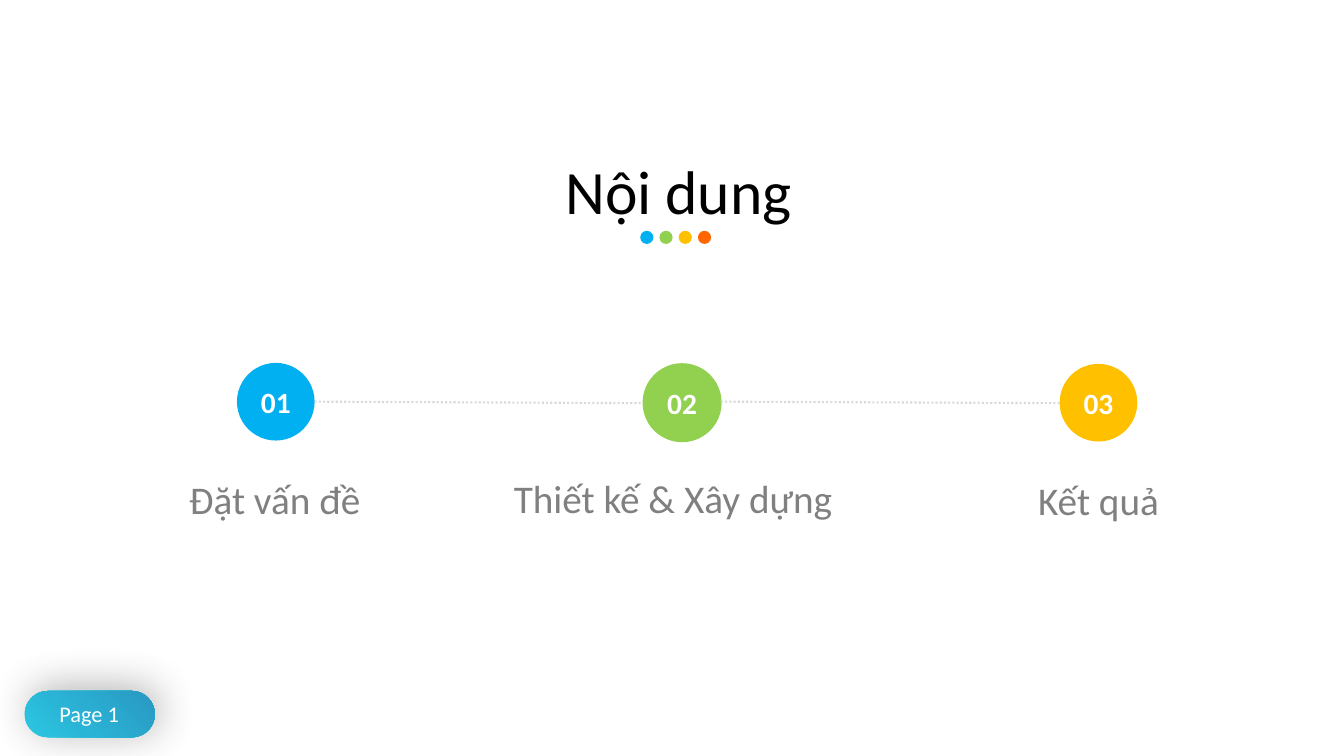
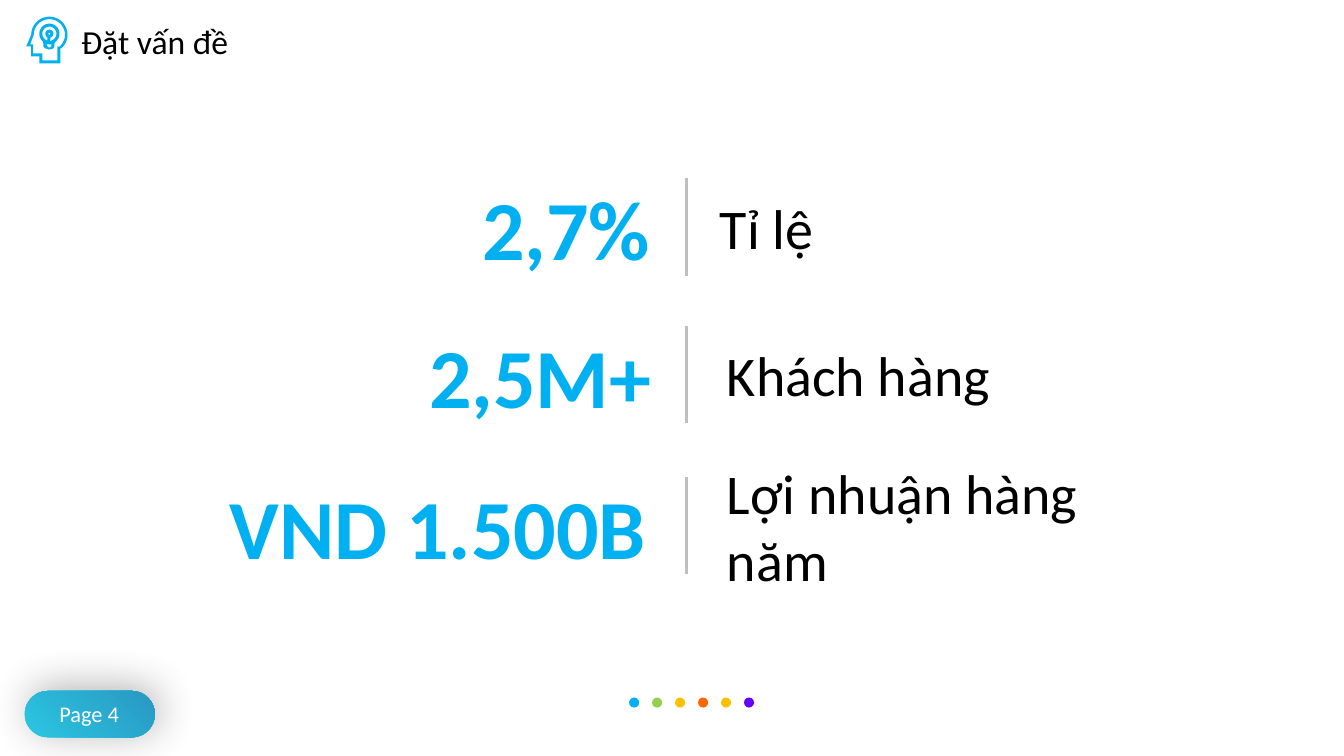
from dataclasses import dataclass
from math import cos, radians, sin

from lxml.etree import SubElement
from pptx import Presentation
from pptx.dml.color import RGBColor
from pptx.enum.dml import MSO_LINE
from pptx.enum.shapes import MSO_CONNECTOR, MSO_SHAPE
from pptx.enum.text import MSO_ANCHOR, MSO_AUTO_SIZE, PP_ALIGN
from pptx.oxml.ns import qn
from pptx.util import Inches, Pt

W, H = Inches(13.33), Inches(7.5)
ICON_CELL = W / 1333


@dataclass(frozen=True)
class Theme:
    font: str = "Calibri"
    blue: str = "00B0F0"
    green: str = "92D050"
    amber: str = "FFC000"
    orange: str = "FF6600"
    violet: str = "6600FF"
    black: str = "000000"
    white: str = "FFFFFF"
    grey: str = "808080"
    rule: str = "BFBFBF"
    dotted: str = "D9D9D9"
    pill_from: str = "2BC6E1"
    pill_to: str = "2998C3"
    shadow: str = "404040"
    title: int = 44
    header: int = 24
    label: int = 28
    number: int = 21
    value: int = 60
    caption: int = 40
    page: int = 16


T = Theme()


# Lengths are percentages of the slide's width (x, w) and height (y, h)
@dataclass(frozen=True)
class Box:
    x: float
    y: float
    w: float
    h: float

    def emu(self) -> tuple[int, int, int, int]:
        return px(self.x), py(self.y), px(self.w), py(self.h)


@dataclass(frozen=True)
class Style:
    size: int
    color: str
    bold: bool = False
    align: PP_ALIGN = PP_ALIGN.LEFT
    spacing: float = 1.0
    before: int = 0
    after: int = 0


@dataclass(frozen=True)
class Step:
    number: str
    label: str
    color: str
    x: float
    y: float
    box: Box
    spacing: float = 1.1
    outlined: bool = False


@dataclass(frozen=True)
class Stat:
    value: str
    caption: str
    middle: float
    value_x: float
    value_w: float
    caption_x: float
    caption_w: float


def px(share: float) -> int:
    return round(W * share / 100)


def py(share: float) -> int:
    return round(H * share / 100)


def rgb(color: str) -> RGBColor:
    return RGBColor.from_string(color)


# Basic parts
def write(tf, text: str, style: Style) -> None:
    tf.word_wrap = True
    p = tf.paragraphs[0]
    p.alignment = style.align
    p.line_spacing = style.spacing
    p.space_before, p.space_after = Pt(style.before), Pt(style.after)
    r = p.add_run()
    r.text = text
    r.font.name, r.font.size, r.font.bold = T.font, Pt(style.size), style.bold
    r.font.color.rgb = rgb(style.color)


def add_text(s, box: Box, text: str, style: Style, fitted: bool = True) -> None:
    tf = s.shapes.add_textbox(*box.emu()).text_frame
    if fitted:
        tf.margin_left = tf.margin_top = tf.margin_right = tf.margin_bottom = 0
        tf.vertical_anchor = MSO_ANCHOR.MIDDLE
    write(tf, text, style)
    tf.auto_size = MSO_AUTO_SIZE.SHAPE_TO_FIT_TEXT if fitted else MSO_AUTO_SIZE.NONE


def paint(sp, color: str) -> None:
    sp.shadow.inherit = False
    sp.fill.solid()
    sp.fill.fore_color.rgb = rgb(color)
    sp.line.fill.background()


def add_circle(s, x: float, y: float, size: float, color: str):
    sp = s.shapes.add_shape(MSO_SHAPE.OVAL, px(x), py(y), px(size), px(size))
    paint(sp, color)
    return sp


def add_line(s, x1: float, y1: float, x2: float, y2: float, color: str, width: float):
    line = s.shapes.add_connector(MSO_CONNECTOR.STRAIGHT, px(x1), py(y1), px(x2), py(y2))
    line.line.color.rgb = rgb(color)
    line.line.width = Pt(width)
    SubElement(line._element.spPr, qn("a:effectLst"))
    return line


# Shared decoration
def add_dots(s, x: float, y: float, size: float, step: float, colors: list[str]) -> None:
    for i, color in enumerate(colors):
        add_circle(s, x + i * step, y, size, color)


def add_page_pill(s, page: int) -> None:
    sp = s.shapes.add_shape(MSO_SHAPE.ROUNDED_RECTANGLE, *Box(1.84, 91.4, 9.68, 6.13).emu())
    paint(sp, T.pill_from)
    sp.adjustments[0] = 0.5
    sp.fill.gradient()
    sp.fill.gradient_angle = 45
    for stop, color in zip(sp.fill.gradient_stops, (T.pill_from, T.pill_to)):
        stop.color.rgb = rgb(color)
    # Soft shadow to the upper right
    effects = sp._element.spPr.find(qn("a:effectLst"))
    shadow = SubElement(effects, qn("a:outerShdw"), blurRad=str(Pt(30)), dist=str(Pt(5)),
                        dir="18900000", algn="ctr", rotWithShape="0")
    color = SubElement(shadow, qn("a:srgbClr"), val=T.shadow)
    SubElement(color, qn("a:alpha"), val="40000")
    add_text(s, Box(2.55, 91.47, 8.18, 5.07), f"Page {page}",
             Style(T.page, T.white, align=PP_ALIGN.CENTER, spacing=1.14, before=10), fitted=False)


# Idea icon, drawn on a fine grid of icon cells
Points = list[tuple[float, float]]


def arc(cx: float, cy: float, radius: float, start: int, end: int) -> Points:
    step = 10 if end > start else -10
    return [(cx + radius * cos(radians(a)), cy + radius * sin(radians(a)))
            for a in range(start, end + step, step)]


def add_outline(s, contours: list[Points], color: str) -> None:
    cells = [[(round(x * ICON_CELL), round(y * ICON_CELL)) for x, y in c] for c in contours]
    fb = s.shapes.build_freeform(*cells[0][0], scale=1.0)
    for i, points in enumerate(cells):
        if i:
            fb.move_to(*points[0])
        fb.add_line_segments(points[1:], close=True)
    paint(fb.convert_to_shape(), color)


def add_idea_icon(s) -> None:
    head = [(60, 47), (60, 63), (39, 63), (39, 56), (31, 56), (31, 46), (26, 46)]
    head += arc(49, 34.5, 18, 180, 410)
    face = arc(49, 34.5, 15.5, 410, 180)
    face += [(30, 44), (33, 44), (33, 53), (42, 53), (42, 60), (57, 60), (57, 46)]
    add_outline(s, [head, face], T.blue)

    bulb = arc(49, 33.5, 10, 130, 410)
    bulb += [(54, 43), (54, 46), (53, 48), (50, 49), (48, 49), (45, 48), (43, 46), (43, 43)]
    glass = arc(49, 33.5, 7, 430, 110) + [(47, 41), (47, 37)]
    glass += arc(49, 33.5, 4, 110, 430) + [(50, 37), (50, 41)]
    base = [(46, 44), (47, 46), (48, 47), (50, 47), (51, 46), (51, 44)]
    add_outline(s, [bulb, glass, arc(49, 33.5, 1, 360, 0), base], T.blue)


# Slides
CIRCLE = 5.78
STEPS = [
    Step("01", "Đặt vấn đề", T.blue, 17.63, 48, Box(12.75, 62.4, 15.38, 6.53)),
    Step("02", "Thiết kế & Xây dựng", T.green, 47.86, 48.13, Box(37.06, 62.67, 26.03, 6.27),
         spacing=1.0, outlined=True),
    Step("03", "Kết quả", T.amber, 78.84, 48.13, Box(74.04, 62.53, 15.38, 6.53)),
]
STATS = [
    Stat("2,7%", "Tỉ lệ", 30.03, 27.16, 21.23, 53.56, 9.6),
    Stat("2,5M+", "Khách hàng", 49.53, 27.23, 21.23, 54.09, 21.98),
    Stat("VND 1.500B", "Lợi nhuận hàng năm", 69.53, 16.13, 31.96, 54.09, 34.21),
]


def build_contents(s) -> None:
    add_text(s, Box(41.33, 20.67, 19.05, 10), "Nội dung",
             Style(T.title, T.black, spacing=0.9), fitted=False)
    for step in STEPS:
        add_text(s, step.box, step.label, Style(T.label, T.grey, align=PP_ALIGN.CENTER,
                                                spacing=step.spacing, after=10))
        sp = add_circle(s, step.x, step.y, CIRCLE, step.color)
        if step.outlined:
            sp.line.color.rgb = rgb(step.color)
            sp.line.width = Pt(1)
        sp.text_frame.vertical_anchor = MSO_ANCHOR.MIDDLE
        write(sp.text_frame, step.number,
              Style(T.number, T.white, bold=True, align=PP_ALIGN.CENTER))
    for a, b in zip(STEPS, STEPS[1:]):
        line = add_line(s, a.x + CIRCLE, 53.13, b.x, 53.33, T.dotted, 1.5)
        line.line.dash_style = MSO_LINE.ROUND_DOT
    add_dots(s, 47.64, 30.53, 0.98, 1.43, [T.blue, T.green, T.amber, T.orange])
    add_page_pill(s, 1)


def build_problem(s) -> None:
    add_dots(s, 46.81, 92.27, 0.75, 1.71,
             [T.blue, T.green, T.amber, T.orange, T.amber, T.violet])
    add_idea_icon(s)
    add_text(s, Box(5.25, 2.4, 12.53, 5.6), "Đặt vấn đề",
             Style(T.header, T.black, align=PP_ALIGN.CENTER, spacing=1.1, after=10))
    value_h, caption_h, rule_h, rule_x = 13.47, 8.93, 12.87, 51.09
    for st in STATS:
        add_text(s, Box(st.value_x, st.middle - value_h / 2, st.value_w, value_h), st.value,
                 Style(T.value, T.blue, bold=True, align=PP_ALIGN.RIGHT))
        add_text(s, Box(st.caption_x, st.middle - caption_h / 2, st.caption_w, caption_h),
                 st.caption, Style(T.caption, T.black))
        add_line(s, rule_x, st.middle - rule_h / 2, rule_x, st.middle + rule_h / 2, T.rule, 2.25)
    add_page_pill(s, 4)


def main() -> None:
    prs = Presentation()
    prs.slide_width, prs.slide_height = W, H
    for build in (build_contents, build_problem):
        build(prs.slides.add_slide(prs.slide_layouts[6]))
    prs.save("out.pptx")


if __name__ == "__main__":
    main()
